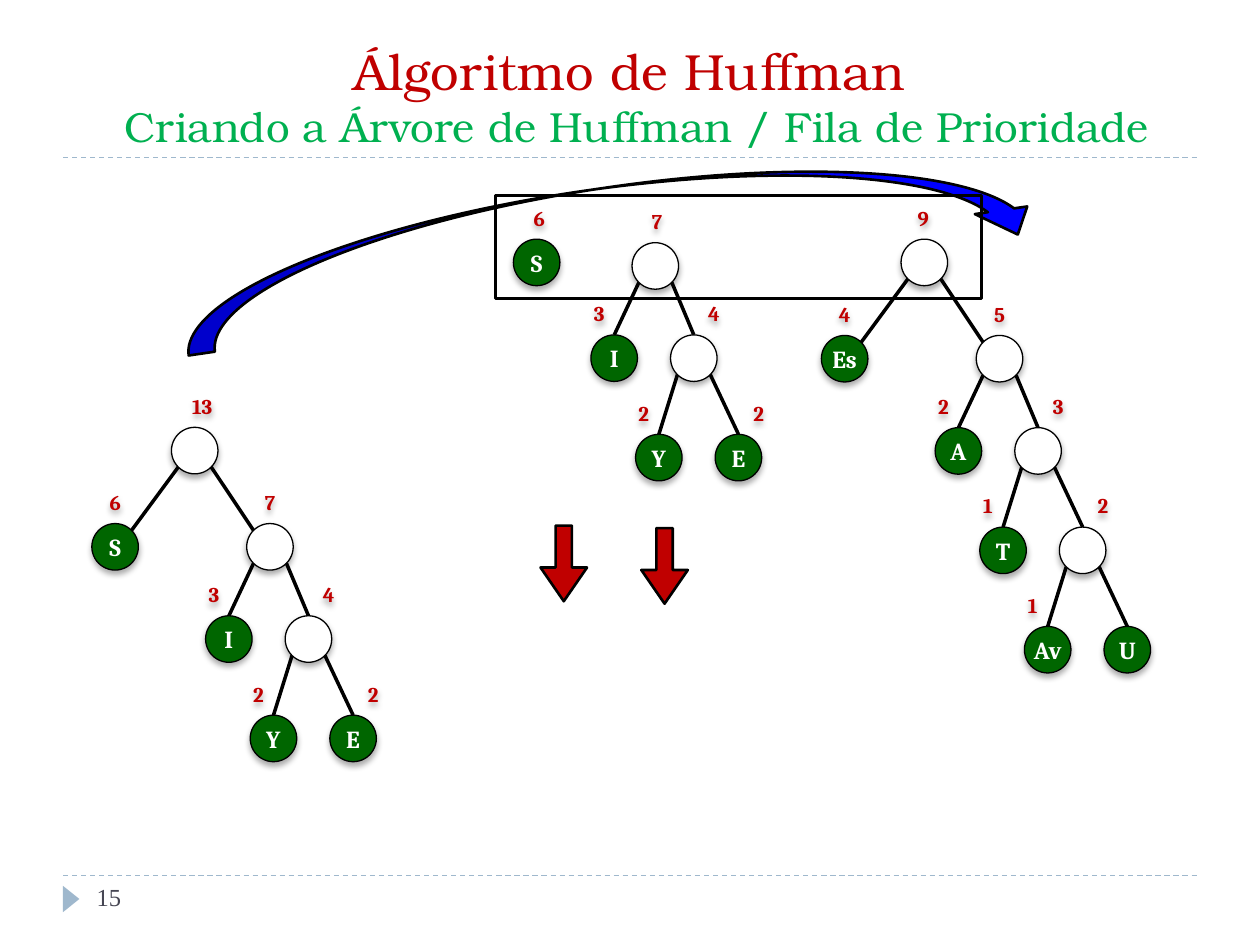
"""Build a slide on the Huffman algorithm: merging trees in a priority queue."""
import lxml.etree
import pptx
import pptx.dml.color
import pptx.enum.dml
import pptx.enum.shapes
import pptx.enum.text
import pptx.oxml.ns
import pptx.util

Pt = pptx.util.Pt
SHAPE = pptx.enum.shapes.MSO_SHAPE
ALIGN = pptx.enum.text.PP_ALIGN
ANCHOR = pptx.enum.text.MSO_ANCHOR
COLORS = {
    "title": "C00000", "subtitle": "00B050", "rule": "9FB8CD", "page": "464653",
    "leaf": "006600", "inner": "FFFFFF", "line": "000000", "weight": "C00000",
    "down": "C00000", "sweep": "0000FF", "letter": "FFFFFF",
}
DIAMETER = 26.6
CORNER = 9.4
LABEL_W, LABEL_H, LABEL_RISE = 29.5, 21.6, 25.6

# Each spread: left dx, right dx, dy, left label dx, right label dx.
WIDE = (-45.5, 43, 55, 0, 0)
MID = (-23.5, 22, 52.7, -8.6, 11.5)
LOW = (-20, 25.5, 56.8, -8.6, 11.5)

# Each node: letter, weight, spread, left child, right child.
SEVEN = ("", "7", MID, ("I", "3"),
         ("", "4", LOW, ("Y", "2"), ("E", "2")))
NINE = ("", "9", WIDE, ("Es", "4"),
        ("", "5", MID, ("A", "2"),
         ("", "3", LOW, ("T", "1"),
          ("", "2", LOW, ("Av", "1"), ("U", "")))))
THIRTEEN = ("", "13", WIDE, ("S", "6"), SEVEN)


def rgb(name):
    return pptx.dml.color.RGBColor.from_string(COLORS[name])


def style_run(r, font, size, color, bold=False):
    r.font.name, r.font.size, r.font.bold = font, Pt(size), bold
    r.font.color.rgb = rgb(color)


def add_effects(sp, shadow=False):
    props = sp._element.spPr
    for old in props.findall(pptx.oxml.ns.qn("a:effectLst")):
        props.remove(old)
    effects = lxml.etree.SubElement(props, pptx.oxml.ns.qn("a:effectLst"))
    if shadow:
        outer = lxml.etree.SubElement(effects, pptx.oxml.ns.qn("a:outerShdw"),
                                      blurRad=str(Pt(3.5)), dist=str(Pt(2.2)),
                                      dir="5400000", rotWithShape="0")
        color = lxml.etree.SubElement(outer, pptx.oxml.ns.qn("a:srgbClr"), val="000000")
        lxml.etree.SubElement(color, pptx.oxml.ns.qn("a:alpha"), val="32000")


def add_line(shapes, x1, y1, x2, y2, color="line", width=2, dash=None):
    line = shapes.add_connector(pptx.enum.shapes.MSO_CONNECTOR.STRAIGHT,
                                Pt(x1), Pt(y1), Pt(x2), Pt(y2))
    line.line.color.rgb, line.line.width = rgb(color), Pt(width)
    line.line.dash_style = dash
    add_effects(line)


def add_figure(shapes, kind, box, fill=None, width=1.5, adjust=()):
    sp = shapes.add_shape(kind, *map(Pt, box))
    sp.shadow.inherit = False
    if fill:
        sp.fill.solid()
        sp.fill.fore_color.rgb = rgb(fill)
    else:
        sp.fill.background()
    if width:
        sp.line.color.rgb, sp.line.width = rgb("line"), Pt(width)
    else:
        sp.line.fill.background()
    for i, value in enumerate(adjust):
        sp.adjustments[i] = value
    return sp


def add_weight(shapes, text, cx, cy):
    sp = shapes.add_textbox(Pt(cx - LABEL_W / 2), Pt(cy - LABEL_H / 2),
                            Pt(LABEL_W), Pt(LABEL_H))
    tf = sp.text_frame
    tf.text = text
    tf.word_wrap, tf.vertical_anchor = False, ANCHOR.MIDDLE
    tf.auto_size = pptx.enum.text.MSO_AUTO_SIZE.SHAPE_TO_FIT_TEXT
    p = tf.paragraphs[0]
    p.alignment = ALIGN.CENTER
    style_run(p.runs[0], "Cambria", 12, "weight", True)
    add_effects(sp, shadow=True)


def add_node(shapes, letter, cx, cy):
    radius = DIAMETER / 2
    sp = add_figure(shapes, SHAPE.OVAL, (cx - radius, cy - radius, DIAMETER, DIAMETER),
                    "leaf" if letter else "inner", 0.75)
    add_effects(sp, shadow=True)
    if letter:
        tf = sp.text_frame
        tf.text = letter
        tf.margin_left = tf.margin_right = tf.margin_top = tf.margin_bottom = 0
        tf.word_wrap, tf.vertical_anchor = False, ANCHOR.MIDDLE
        p = tf.paragraphs[0]
        p.alignment = ALIGN.CENTER
        style_run(p.runs[0], "Cambria", 14, "letter", True)


def add_tree(shapes, node, cx, cy, label_dx=1):
    letter, weight, *branches = node
    if branches:
        spread, *children = branches
        for i, (side, child) in enumerate(zip((-1, 1), children)):
            x, y = cx + spread[i], cy + spread[2]
            if spread is WIDE:
                end = (x - side * CORNER, y - CORNER)
            else:
                end = (x, y - DIAMETER / 2)
            add_line(shapes, *end, cx + side * CORNER, cy + CORNER)
            add_tree(shapes, child, x, y, spread[3 + i])
    add_node(shapes, letter, cx, cy)
    if weight:
        add_weight(shapes, weight, cx + label_dx, cy - LABEL_RISE)


def add_title(slide, x, y, w, h):
    title = slide.shapes.title
    title.left, title.top, title.width, title.height = map(Pt, (x, y, w, h))
    tf = title.text_frame
    tf.text = "Álgoritmo de Huffman\v Criando a Árvore de Huffman / Fila de Prioridade"
    tf.auto_size = pptx.enum.text.MSO_AUTO_SIZE.NONE
    tf.word_wrap, tf.vertical_anchor = True, ANCHOR.BOTTOM
    p = tf.paragraphs[0]
    p.alignment = ALIGN.CENTER
    for r, size, color in zip(p.runs, (29, 24), ("title", "subtitle")):
        style_run(r, "TeX Gyre Bonum", size, color)
    add_line(slide.shapes, x, y + h, x + w, y + h, "rule", 0.75,
             pptx.enum.dml.MSO_LINE.DASH)


def add_footer(slide, x, y, w):
    add_line(slide.shapes, x, y, x + w, y, "rule", 0.75, pptx.enum.dml.MSO_LINE.DASH)
    marker = add_figure(slide.shapes, SHAPE.ISOSCELES_TRIANGLE,
                        (x - 2.9, y + 8.6, 15.1, 9.4), "rule", 0)
    marker.rotation = 90
    sp = slide.shapes.add_textbox(Pt(x + 12.2), Pt(y), Pt(156), Pt(28.8))
    tf = sp.text_frame
    tf.word_wrap = True
    tf.text = "15"
    style_run(tf.paragraphs[0].runs[0], "Times New Roman", 14, "page")


def add_arrows(slide, x, y):
    for dx, dy in ((0, 0), (57.6, 1.4)):
        add_figure(slide.shapes, SHAPE.DOWN_ARROW, (x + dx, y + dy, 26.6, 43.2),
                   "down", adjust=(0.35, 0.724))


def add_queue(slide, x, y, w, h):
    sweep = add_figure(slide.shapes, SHAPE.CURVED_LEFT_ARROW,
                       (x + 34.6, y - 221, 60.5, 493.9), "sweep",
                       adjust=(0.25, 0.5, 0.25))
    sweep.rotation = 261.7
    add_figure(slide.shapes, SHAPE.RECTANGLE, (x, y, w, h))


prs = pptx.Presentation()
prs.slide_width, prs.slide_height = Pt(720), Pt(540)
slide = prs.slides.add_slide(prs.slide_layouts[5])
add_title(slide, 36, 18, 648, 72)
add_footer(slide, 36, 500.4, 648)
for root, cx, cy, label_dx in ((("S", "6"), 306.7, 150, 1.5), (SEVEN, 374.5, 152, 1),
                               (NINE, 528.2, 150, -0.7), (THIRTEEN, 111.3, 257.5, 4.3)):
    add_tree(slide.shapes.add_group_shape().shapes, root, cx, cy, label_dx)
add_arrows(slide, 308.9, 300.4)
add_queue(slide, 283, 111.6, 278, 59)
prs.save("out.pptx")
